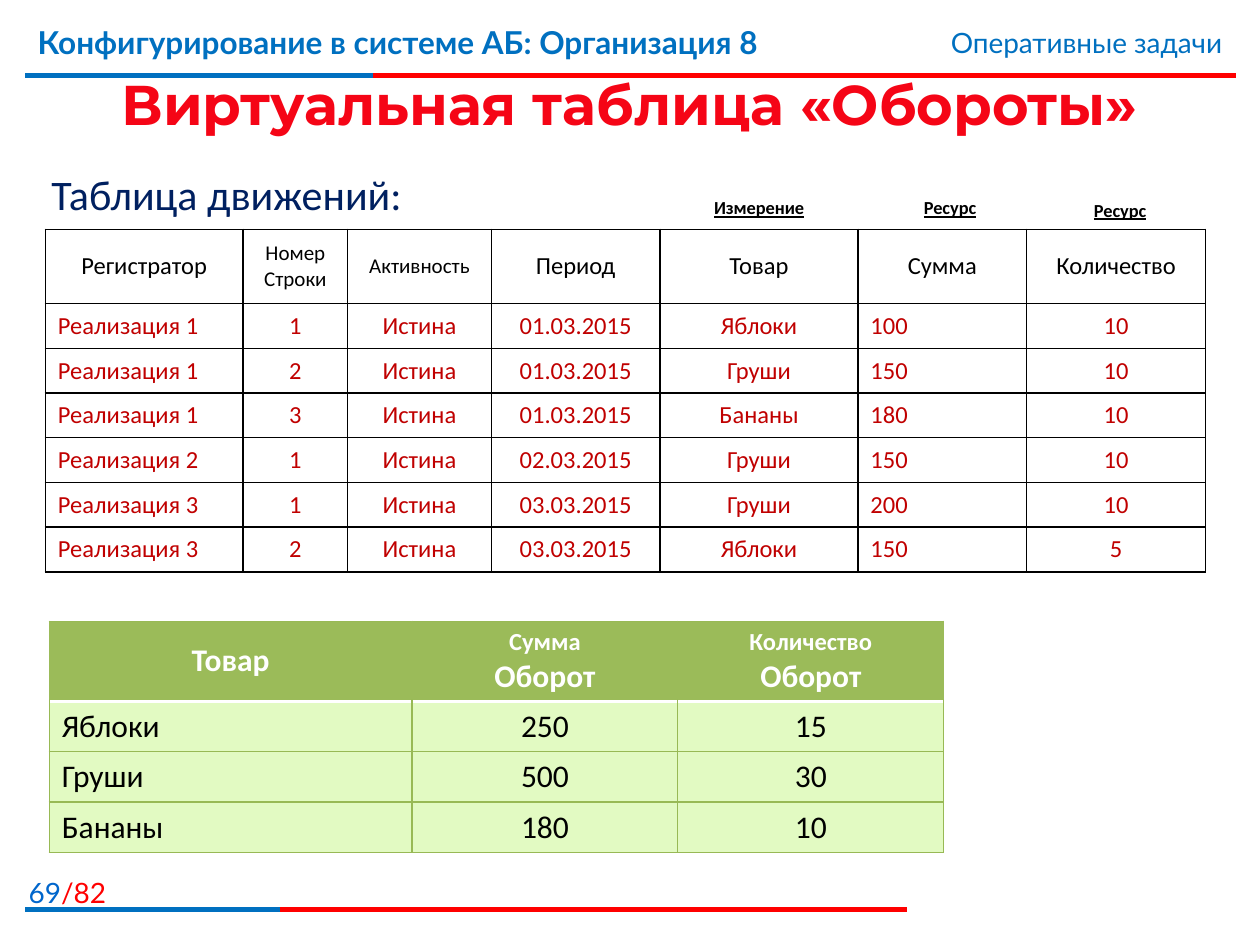
"""Build the slide about the turnovers virtual table."""
from dataclasses import dataclass

from lxml import etree
from pptx import Presentation
from pptx.dml.color import RGBColor
from pptx.enum.shapes import MSO_CONNECTOR
from pptx.enum.text import MSO_ANCHOR, MSO_AUTO_SIZE, PP_ALIGN
from pptx.oxml.ns import qn
from pptx.util import Inches, Pt

LEFT, CENTER, RIGHT = PP_ALIGN.LEFT, PP_ALIGN.CENTER, PP_ALIGN.RIGHT
MIDDLE = MSO_ANCHOR.MIDDLE
NO_FIT = MSO_AUTO_SIZE.NONE
STRAIGHT = MSO_CONNECTOR.STRAIGHT
TITLE_ONLY = 5
UNIT = Inches(10) // 100
COLUMNS, ROWS = 100, 75


@dataclass(frozen=True)
class Theme:
    """Colours, fonts and type sizes of the slide."""
    blue: str = "0070C0"
    number_blue: str = "0066CC"
    navy: str = "002060"
    red: str = "FF0000"
    title_red: str = "F50516"
    dark_red: str = "C00000"
    black: str = "000000"
    white: str = "FFFFFF"
    green: str = "9BBB59"
    green_line: str = "98B955"
    pale_green: str = "E2FAC2"
    frame_font: str = "Lato"
    body_font: str = "Calibri"
    title_font: str = "Montserrat"
    title: float = 32
    heading: float = 24
    large: float = 18
    medium: float = 16
    normal: float = 14
    small: float = 12
    label: float = 10.5


THEME = Theme()

MOVEMENT_HEADER = ["Регистратор", "Номер\nСтроки", "Активность", "Период",
                   "Товар", "Сумма", "Количество"]
MOVEMENTS = [
    ("Реализация 1", "1", "Истина", "01.03.2015", "Яблоки", "100", "10"),
    ("Реализация 1", "2", "Истина", "01.03.2015", "Груши", "150", "10"),
    ("Реализация 1", "3", "Истина", "01.03.2015", "Бананы", "180", "10"),
    ("Реализация 2", "1", "Истина", "02.03.2015", "Груши", "150", "10"),
    ("Реализация 3", "1", "Истина", "03.03.2015", "Груши", "200", "10"),
    ("Реализация 3", "2", "Истина", "03.03.2015", "Яблоки", "150", "5"),
]
TURNOVER_HEADER = ["Товар", "Сумма\nОборот", "Количество\nОборот"]
TURNOVERS = [("Яблоки", "250", "15"), ("Груши", "500", "30"), ("Бананы", "180", "10")]


def grid(*lengths):
    """Turn grid steps into slide lengths."""
    return [round(length * UNIT) for length in lengths]


def style(font, name, size, color, bold=False, underline=False):
    """Set the look of a font."""
    font.name, font.size, font.bold, font.underline = name, Pt(size), bold, underline
    font.color.rgb = RGBColor.from_string(color)


def add_text(slide, place, text, name, size, color, align=LEFT, wrap=True, **look):
    """Add a one-paragraph text box and return the paragraph."""
    frame = slide.shapes.add_textbox(*grid(*place)).text_frame
    frame.word_wrap = wrap
    paragraph = frame.paragraphs[0]
    paragraph.text, paragraph.alignment = text, align
    style(paragraph.font, name, size, color, **look)
    return paragraph


def add_rule(slide, top, left, split, right):
    """Add a red rule with a blue start."""
    for end, color in ((right, THEME.red), (split, THEME.blue)):
        line = slide.shapes.add_connector(STRAIGHT, *grid(left, top, end, top))
        line.line.width = Pt(3)
        line.line.color.rgb = RGBColor.from_string(color)
        etree.SubElement(line._element.spPr, qn("a:effectLst"))


def add_title(slide, text):
    """Place the title with a red gradient."""
    title = slide.shapes.title
    title.left, title.top, title.width, title.height = grid(6.9, 4, 86.2, 8.3)
    frame = title.text_frame
    frame.word_wrap, frame.auto_size, frame.vertical_anchor = True, NO_FIT, MIDDLE
    paragraph = frame.paragraphs[0]
    paragraph.alignment = CENTER
    run = paragraph.add_run()
    run.text = text
    font = run.font
    font.name, font.size, font.bold = THEME.title_font, Pt(THEME.title), True
    font.fill.gradient()
    font.fill.gradient_angle = 270
    shades = ((0.55, THEME.title_red), (0.86, THEME.dark_red))
    for stop, (position, color) in zip(font.fill.gradient_stops, shades):
        stop.position = position
        stop.color.rgb = RGBColor.from_string(color)


def set_borders(cell, borders):
    """Draw cell borders given as side: (colour, points)."""
    properties = cell._tc.get_or_add_tcPr()
    for side in "LRTB":
        color, width = borders[side]
        line = etree.SubElement(properties, qn(f"a:ln{side}"), w=str(Pt(width)))
        fill = etree.SubElement(line, qn("a:solidFill"))
        etree.SubElement(fill, qn("a:srgbClr"), val=color)


def fill_cell(cell, text, sizes, color, align, fill, borders, bold=False):
    """Write and format one cell, with one type size a line."""
    set_borders(cell, borders)
    if fill:
        cell.fill.solid()
        cell.fill.fore_color.rgb = RGBColor.from_string(fill)
    else:
        cell.fill.background()
    cell.vertical_anchor = MIDDLE
    cell.text = text
    for paragraph, size in zip(cell.text_frame.paragraphs, sizes):
        paragraph.alignment = align
        style(paragraph.font, THEME.body_font, size, color, bold)


def add_grid_table(slide, left, top, widths, heights):
    """Add an unbanded table with the given column widths and row heights."""
    place = grid(left, top, sum(widths), sum(heights))
    table = slide.shapes.add_table(len(heights), len(widths), *place).table
    table.horz_banding = False
    for column, width in zip(table.columns, grid(*widths)):
        column.width = width
    for row, height in zip(table.rows, grid(*heights)):
        row.height = height
    return table


def add_movements(slide):
    """Add the table of register movements."""
    widths = [15.7, 8.3, 11.4, 13.4, 15.7, 13.4, 14.2]
    table = add_grid_table(slide, 3.6, 18.2, widths, [5.9] + [3.55] * len(MOVEMENTS))
    borders = dict.fromkeys("LRTB", (THEME.black, 1))
    for column, text in enumerate(MOVEMENT_HEADER):
        size = THEME.small if column in (1, 2) else THEME.normal
        fill_cell(table.cell(0, column), text, [size] * 2, THEME.black, CENTER, None, borders)
    for row, values in enumerate(MOVEMENTS, 1):
        for column, text in enumerate(values):
            align = LEFT if column in (0, 5) else CENTER
            fill_cell(table.cell(row, column), text, [THEME.normal], THEME.dark_red,
                      align, None, borders)


def add_turnovers(slide):
    """Add the table of turnovers by product."""
    table = add_grid_table(slide, 3.9, 49.3, [28.8, 21.1, 21.1], [6.3] + [4] * len(TURNOVERS))
    thin, thick = (THEME.green_line, 0.75), (THEME.white, 2)
    body = dict.fromkeys("LRTB", thin)
    header = dict.fromkeys("LR", (THEME.green, 0.75)) | {"T": thin, "B": thick}
    for column, text in enumerate(TURNOVER_HEADER):
        sizes = [THEME.normal, THEME.large] if column else [THEME.large]
        fill_cell(table.cell(0, column), text, sizes, THEME.white, CENTER,
                  THEME.green, header, bold=True)
    for row, values in enumerate(TURNOVERS, 1):
        borders = body | {"T": thick} if row == 1 else body
        for column, text in enumerate(values):
            fill_cell(table.cell(row, column), text, [THEME.large], THEME.black,
                      CENTER if column else LEFT, THEME.pale_green, borders)


def add_frame(slide):
    """Add the running header, the rules and the slide number."""
    add_rule(slide, 6, 2, 29.6, 98.1)
    add_rule(slide, 72.2, 2, 22.2, 72)
    add_text(slide, (2, 1.3, 74, 6.2), "Конфигурирование в системе АБ: Организация 8",
             THEME.frame_font, THEME.large, THEME.blue, bold=True)
    add_text(slide, (59.4, 1.5, 38.6, 3.7), "Оперативные задачи",
             THEME.frame_font, THEME.medium, THEME.blue, RIGHT)
    number = add_text(slide, (0, 69, 9.4, 3.2), "69", THEME.frame_font, THEME.medium,
                      THEME.number_blue, RIGHT)
    total = number.add_run()
    total.text = "/82"
    total.font.color.rgb = RGBColor.from_string(THEME.red)


def main():
    """Build and save the slide."""
    presentation = Presentation()
    presentation.slide_width, presentation.slide_height = grid(COLUMNS, ROWS)
    slide = presentation.slides.add_slide(presentation.slide_layouts[TITLE_ONLY])
    add_frame(slide)
    add_turnovers(slide)
    add_title(slide, "Виртуальная таблица «Обороты»")
    add_text(slide, (3.1, 12.9, 31.8, 5), "Таблица движений:", THEME.body_font,
             THEME.heading, THEME.navy, wrap=False)
    add_movements(slide)
    for left, top, width, text in ((55.5, 15.1, 9.5, "Измерение"),
                                   (72.2, 15.1, 6.4, "Ресурс"), (85.7, 15.3, 6.4, "Ресурс")):
        add_text(slide, (left, top, width, 2.9), text, THEME.body_font, THEME.label,
                 THEME.black, CENTER, wrap=False, bold=True, underline=True)
    presentation.save("out.pptx")


if __name__ == "__main__":
    main()
